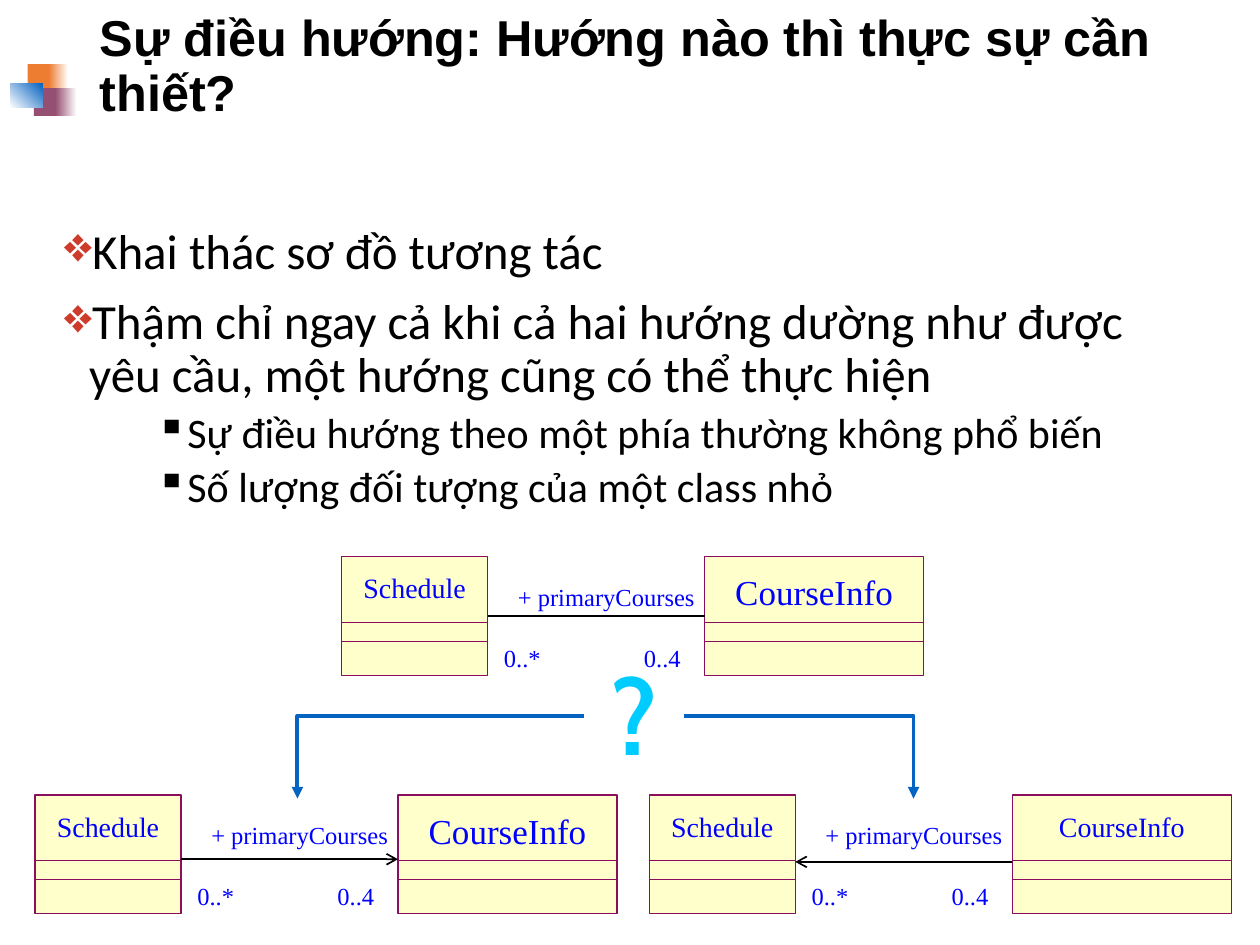
from pptx import Presentation
from pptx.dml.color import RGBColor
from pptx.enum.shapes import MSO_CONNECTOR as CONN, MSO_SHAPE as SHAPE
from pptx.enum.text import MSO_ANCHOR as ANCHOR, MSO_AUTO_SIZE as AUTO, PP_ALIGN as ALIGN
from pptx.oxml.ns import qn
from pptx.util import Pt
from lxml.etree import SubElement

BLACK = RGBColor(0, 0, 0)
WHITE = RGBColor(0xFF, 0xFF, 0xFF)
ORANGE = RGBColor(0xED, 0x7D, 0x31)
PLUM = RGBColor(0x95, 0x4F, 0x72)
BLUE = RGBColor(0x05, 0x63, 0xC1)
RED = RGBColor(0xCE, 0x3B, 0x2A)
CYAN = RGBColor(0x00, 0xCC, 0xFF)
CREAM = RGBColor(0xFF, 0xFF, 0xCC)
BORDER = RGBColor(0x8A, 0x0E, 0x5E)
LABEL = RGBColor(0, 0, 0xFF)
SERIF = "Times New Roman"

TITLE = "Sự điều hướng: Hướng nào thì thực sự cần thiết?"
BODY = [
    (0, "Khai thác sơ đồ tương tác"),
    (0, "Thậm chỉ ngay cả khi cả hai hướng dường như được yêu cầu, "
        "một hướng cũng có thể thực hiện"),
    (1, "Sự điều hướng theo một phía thường không phổ biến"),
    (1, "Số lượng đối tượng của một class nhỏ"),
]
LEVELS = [("❖", RED, 14.4, 28, 10), ("▪", BLACK, 67, 24, 5)]

SCHEDULE_W, COURSE_W, CLASS_H = 83.5, 125.2, 67.7
COURSE_DX = 207.4


def pts(*values):
    return [Pt(v) for v in values]


def set_font(p, name, size, color, bold=False):
    for r in p.runs:
        r.font.name = name
        r.font.size = Pt(size)
        r.font.color.rgb = color
        r.font.bold = bold


def add_rect(shapes, x, y, w, h, fill, line=None):
    s = shapes.add_shape(SHAPE.RECTANGLE, *pts(x, y, w, h))
    s.shadow.inherit = False
    s.fill.solid()
    s.fill.fore_color.rgb = fill
    if line is None:
        s.line.fill.background()
    else:
        s.line.color.rgb = line
        s.line.width = Pt(0.75)
    return s


def add_fade(shapes, x, y, w, h, start, end, angle=0):
    s = add_rect(shapes, x, y, w, h, start)
    s.fill.gradient()
    s.fill.gradient_angle = angle
    for stop, color in zip(s.fill.gradient_stops, (start, end)):
        stop.color.rgb = color


def add_label(shapes, text, x, y, w, h, size, align=ALIGN.LEFT,
              wrap=False, font=SERIF, color=LABEL, bold=False):
    tf = shapes.add_textbox(*pts(x, y, w, h)).text_frame
    tf.word_wrap = wrap
    tf.auto_size = AUTO.SHAPE_TO_FIT_TEXT
    if not wrap:
        tf.margin_left = tf.margin_right = tf.margin_top = tf.margin_bottom = 0
    p = tf.paragraphs[0]
    p.text = text
    p.alignment = align
    set_font(p, font, size, color, bold)


def add_arrowhead(s, end, kind):
    SubElement(s.line._get_or_add_ln(), qn(f"a:{end}"), type=kind)


def add_line(shapes, x1, y1, x2, y2, color, width):
    s = shapes.add_connector(CONN.STRAIGHT, *pts(x1, y1, x2, y2))
    s.line.color.rgb = color
    s.line.width = Pt(width)
    SubElement(s._element.spPr, qn("a:effectLst"))
    return s


def add_class(shapes, name, x, y, w, size):
    box = add_rect(shapes, x, y, w, CLASS_H, CREAM, BORDER)
    for dy in (37.4, 48.2):
        add_line(shapes, x, y + dy, x + w, y + dy, BORDER, 0.75)
    add_label(shapes, name, x, y + 8, w, size * 1.2, size, ALIGN.CENTER)
    return box


def add_association(shapes, x, y, course_size, line_dy, arrow_end=None):
    course = add_class(shapes, "CourseInfo", x + COURSE_DX, y, COURSE_W, course_size)
    schedule = add_class(shapes, "Schedule", x, y, SCHEDULE_W, 16)
    add_label(shapes, "0..*", x + 92.8, y + 49, 21.6, 17.3, 14)
    add_label(shapes, "0..4", x + 172.8, y + 49, 21.6, 17.3, 14)
    add_label(shapes, "+ primaryCourses", x + 74.9, y + 10.8, 134, 24, 14, ALIGN.RIGHT, True)
    link = add_line(shapes, x + SCHEDULE_W, y + line_dy, x + COURSE_DX, y + line_dy, BLACK, 1)
    if arrow_end:
        add_arrowhead(link, arrow_end, "arrow")
    else:
        link.begin_connect(schedule, 3)
        link.end_connect(course, 1)


def add_bent_arrow(shapes, x1, x2, top, bottom):
    fb = shapes.build_freeform(*pts(x1, top))
    fb.add_line_segments([pts(x2, top), pts(x2, bottom)], close=False)
    s = fb.convert_to_shape()
    s.shadow.inherit = False
    s.fill.background()
    s.line.color.rgb = BLUE
    s.line.width = Pt(2.25)
    add_arrowhead(s, "tailEnd", "triangle")


def add_emblem(shapes):
    parts = shapes.add_group_shape().shapes
    add_rect(parts, 15.8, 36.7, 14.4, 15.8, ORANGE)
    add_fade(parts, 28, 36.7, 11, 15.8, ORANGE, WHITE)
    add_rect(parts, 19.4, 50.4, 13.7, 15.8, PLUM)
    add_fade(parts, 31.7, 50.4, 12.2, 15.8, PLUM, WHITE)
    add_fade(parts, 5.8, 47.5, 18.7, 13.7, WHITE, BLUE, 45)


def format_title(s):
    s.left, s.top, s.width, s.height = pts(49.7, 9.4, 620.6, 58.3)
    tf = s.text_frame
    tf.text = TITLE
    tf.word_wrap = True
    tf.auto_size = AUTO.NONE
    tf.vertical_anchor = ANCHOR.MIDDLE
    p = tf.paragraphs[0]
    p.alignment = ALIGN.LEFT
    p.line_spacing = 0.9
    set_font(p, "Arial", 28.8, BLACK, True)


def add_bullet(p, char, color, margin):
    pPr = p._p.get_or_add_pPr()
    pPr.set("marL", str(Pt(margin)))
    pPr.set("indent", str(Pt(-14.4)))
    SubElement(SubElement(pPr, qn("a:buClr")), qn("a:srgbClr"), val=str(color))
    SubElement(pPr, qn("a:buChar"), char=char)


def add_body(shapes):
    tf = shapes.add_textbox(*pts(29.5, 126, 663, 345)).text_frame
    tf.word_wrap = True
    for i, (level, text) in enumerate(BODY):
        char, color, margin, size, before = LEVELS[level]
        p = tf.add_paragraph() if i else tf.paragraphs[0]
        p.text = text
        p.level = level
        p.line_spacing = 0.9
        p.space_before = Pt(before)
        add_bullet(p, char, color, margin)
        set_font(p, "Calibri", size, BLACK)


def main():
    prs = Presentation()
    prs.slide_width, prs.slide_height = pts(720, 540)
    slide = prs.slides.add_slide(prs.slide_layouts[5])
    shapes = slide.shapes
    add_emblem(shapes)
    format_title(shapes.title)
    add_body(shapes)
    add_label(shapes, "?", 334.8, 368, 56.2, 79.2, 60, ALIGN.CENTER, True, "Cabin", CYAN, True)
    add_association(shapes, 20, 454.3, 20, 36.7, "tailEnd")
    add_association(shapes, 371, 454.3, 16, 38.2, "headEnd")
    add_association(shapes, 195.2, 318.2, 20, CLASS_H / 2)
    add_bent_arrow(shapes, 334, 170, 409, 456.3)
    add_bent_arrow(shapes, 391, 522, 409, 456.3)
    prs.save("out.pptx")


if __name__ == "__main__":
    main()
